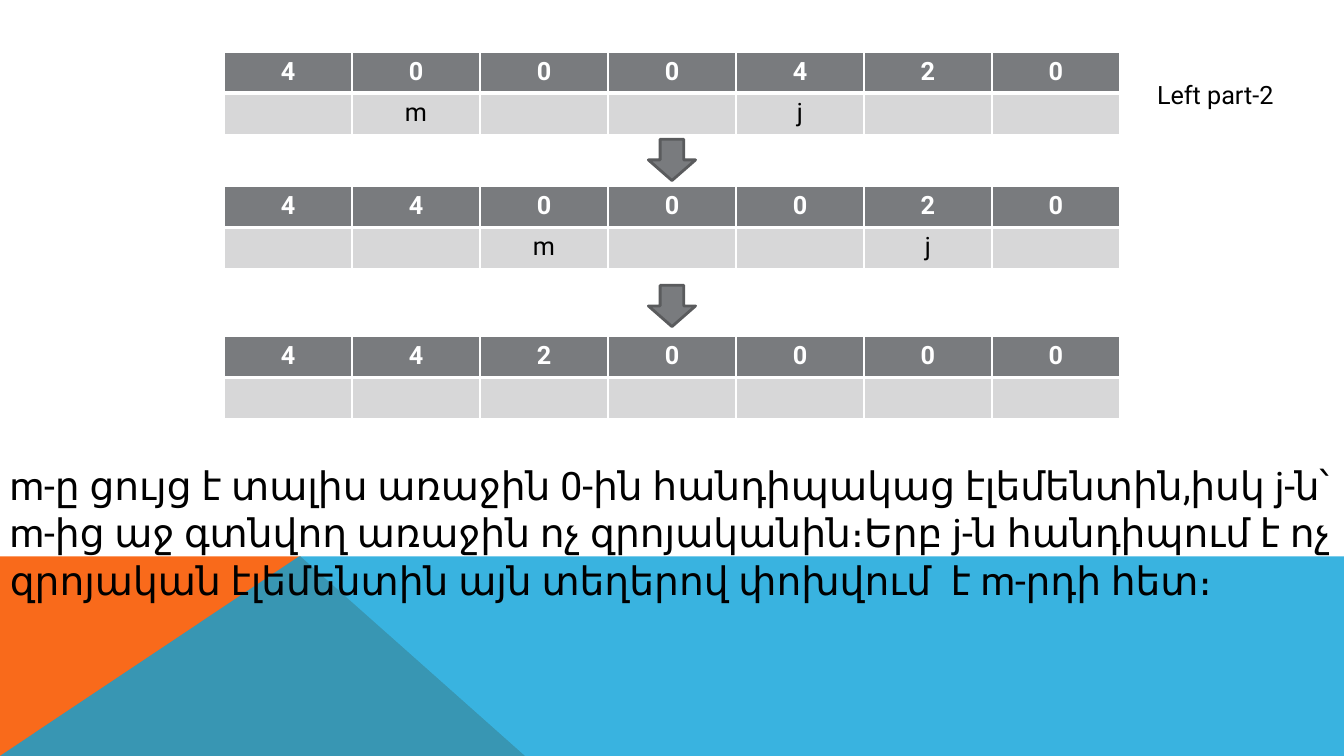
"""Build a slide that traces moving zeros to the end of an array."""
from lxml.etree import SubElement
from pptx import Presentation
from pptx.dml.color import RGBColor
from pptx.enum.shapes import MSO_SHAPE as Shape
from pptx.enum.text import PP_ALIGN as Align
from pptx.oxml import parse_xml
from pptx.oxml.ns import nsdecls, qn
from pptx.util import Cm, Pt

FONT = "Roboto"
WIDTH, HEIGHT = 33.87, 19.05
BAND_TOP = 14.02
ROW_HEIGHT, COLUMN_WIDTH = 1.03, 3.225
ARROW_WIDTH, ARROW_HEIGHT = 1.19, 1.04
HEADER, BODY, ARROW_LINE = "797B7E", "D7D7D8", "5A5B5D"

STEPS = [
    (1.32, "4000420", {1: "m", 4: "j"}),
    (4.7, "4400020", {2: "m", 5: "j"}),
    (8.48, "4420000", {}),
]
ARROW_TOPS = [3.51, 7.19]
BANDS = [
    ("F96A1B", 100, [(0, HEIGHT), (0, BAND_TOP), (7.57, BAND_TOP), (13.23, HEIGHT)]),
    ("08A1D9", 80, [(0, HEIGHT), (7.54, BAND_TOP), (WIDTH, BAND_TOP), (WIDTH, HEIGHT)]),
]
TEXTS = [
    (0, 11.51, WIDTH, 3.84, 28,
     "m-ը ցույց է տալիս առաջին 0-ին հանդիպակաց էլեմենտին,իսկ j-ն՝ "
     "m-ից աջ գտնվող առաջին ոչ զրոյականին։Երբ j-ն հանդիպում է ոչ "
     "զրոյական էլեմենտին այն տեղերով փոխվում  է m-րդի հետ։"),
    (28.91, 1.88, 4.42, 1.02, 18, "Left part-2"),
]


def color(value):
    """Turn a hex string into a colour."""
    return RGBColor.from_string(value)


def paint(target, value):
    """Fill a shape or cell with a solid colour."""
    target.fill.solid()
    target.fill.fore_color.rgb = color(value)


def write(text_frame, text, size, font_color="000000", bold=False, align=Align.LEFT):
    """Set and format the text of a frame."""
    text_frame.text = text
    paragraph = text_frame.paragraphs[0]
    paragraph.alignment = align
    for run in paragraph.runs:
        run.font.name, run.font.size, run.font.bold = FONT, Pt(size), bold
        run.font.color.rgb = color(font_color)


def add_band(slide, fill, opacity, points):
    """Draw one coloured band at the foot of the slide."""
    corners = [(Cm(x), Cm(y)) for x, y in points]
    builder = slide.shapes.build_freeform(*corners[0])
    builder.add_line_segments(corners[1:])
    band = builder.convert_to_shape()
    band.shadow.inherit = False
    band.line.fill.background()
    paint(band, fill)
    if opacity < 100:
        tint = band.fill._xPr.find(qn("a:solidFill"))[0]
        SubElement(tint, qn("a:alpha"), val=str(opacity * 1000))


def add_borders(cell, top, bottom):
    """Give a cell white borders, with its own top and bottom widths."""
    properties = cell._tc.get_or_add_tcPr()
    for index, (side, width) in enumerate(zip("LRTB", (1, 1, top, bottom))):
        properties.insert(index, parse_xml(
            f'<a:ln{side} {nsdecls("a")} w="{Pt(width)}"><a:solidFill>'
            f'<a:srgbClr val="FFFFFF"/></a:solidFill></a:ln{side}>'))


def add_step(slide, top, digits, markers):
    """Add the table of one step: digits above, index markers below."""
    count = len(digits)
    width = count * COLUMN_WIDTH
    table = slide.shapes.add_table(
        2, count, Cm((WIDTH - width) / 2), Cm(top), Cm(width), Cm(2 * ROW_HEIGHT)).table
    for row in table.rows:
        row.height = Cm(ROW_HEIGHT)
    for index, digit in enumerate(digits):
        table.columns[index].width = Cm(COLUMN_WIDTH)
        header, body = table.cell(0, index), table.cell(1, index)
        paint(header, HEADER)
        paint(body, BODY)
        add_borders(header, 1, 3)
        add_borders(body, 3, 1)
        write(header.text_frame, digit, 18, "FFFFFF", True, Align.CENTER)
        write(body.text_frame, markers.get(index, ""), 18, align=Align.CENTER)


def add_arrow(slide, top):
    """Add a centred arrow between two steps."""
    arrow = slide.shapes.add_shape(
        Shape.DOWN_ARROW, Cm((WIDTH - ARROW_WIDTH) / 2), Cm(top),
        Cm(ARROW_WIDTH), Cm(ARROW_HEIGHT))
    arrow.shadow.inherit = False
    paint(arrow, HEADER)
    arrow.line.color.rgb = color(ARROW_LINE)
    arrow.line.width = Pt(2)


presentation = Presentation()
presentation.slide_width, presentation.slide_height = Cm(WIDTH), Cm(HEIGHT)
slide = presentation.slides.add_slide(presentation.slide_layouts[6])
for band in BANDS:
    add_band(slide, *band)
for step in STEPS:
    add_step(slide, *step)
for left, top, width, height, size, text in TEXTS:
    box = slide.shapes.add_textbox(Cm(left), Cm(top), Cm(width), Cm(height))
    box.text_frame.word_wrap = True
    write(box.text_frame, text, size)
for top in ARROW_TOPS:
    add_arrow(slide, top)
presentation.save("out.pptx")
